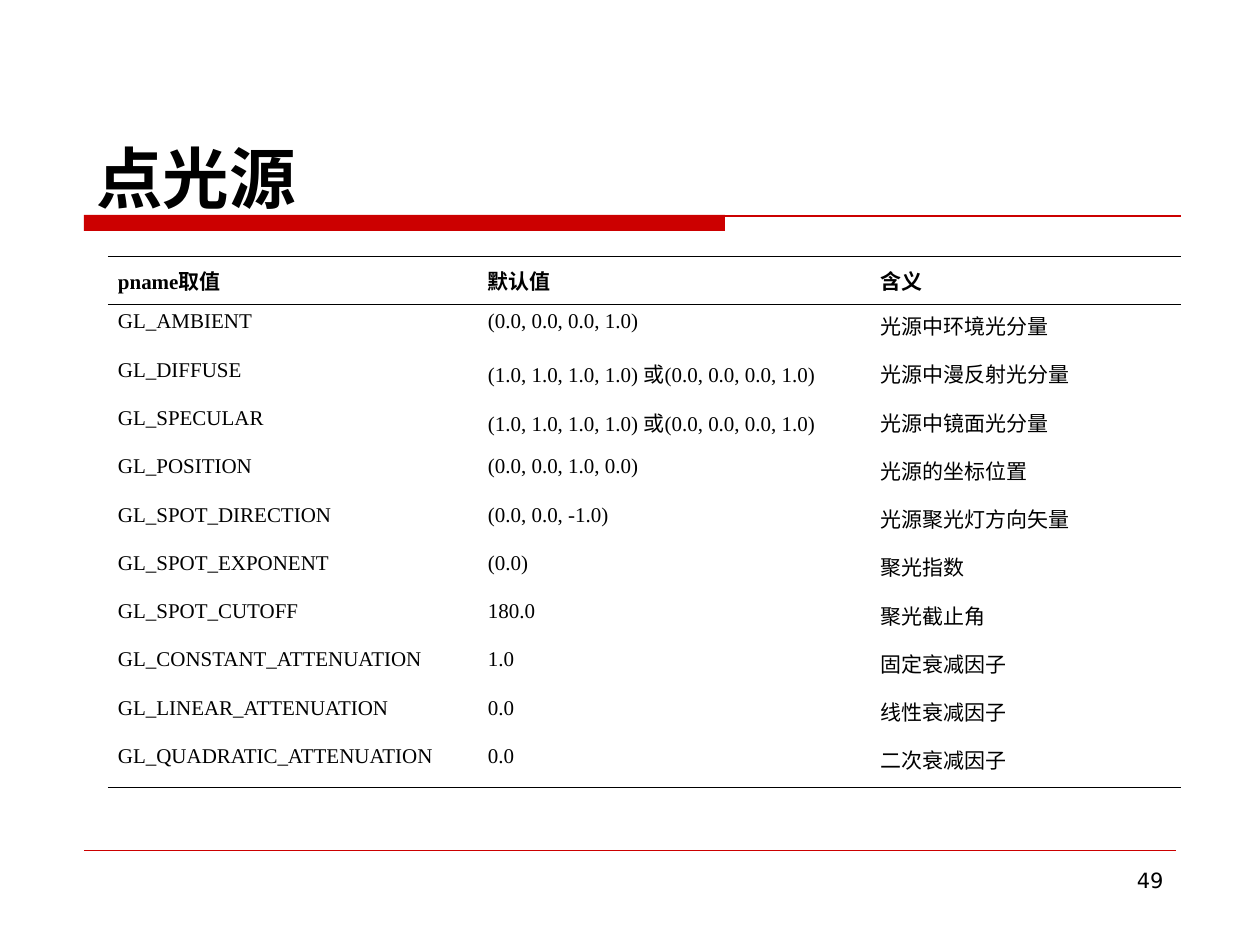
import lxml.etree
import pptx
import pptx.dml.color
import pptx.enum.shapes
import pptx.enum.text
import pptx.oxml
import pptx.oxml.ns
import pptx.util

PIXELS_PER_INCH = 126
BLACK = "000000"
RED = "CC0000"
ALIGN = pptx.enum.text.PP_ALIGN
ANCHOR = pptx.enum.text.MSO_ANCHOR

COLUMN_WIDTHS = [370, 393, 310]
ROWS = [
    ("pname取值", "默认值", "含义"),
    ("GL_AMBIENT", "(0.0, 0.0, 0.0, 1.0)", "光源中环境光分量"),
    ("GL_DIFFUSE", "(1.0, 1.0, 1.0, 1.0) 或(0.0, 0.0, 0.0, 1.0)", "光源中漫反射光分量"),
    ("GL_SPECULAR", "(1.0, 1.0, 1.0, 1.0) 或(0.0, 0.0, 0.0, 1.0)", "光源中镜面光分量"),
    ("GL_POSITION", "(0.0, 0.0, 1.0, 0.0)", "光源的坐标位置"),
    ("GL_SPOT_DIRECTION", "(0.0, 0.0, -1.0)", "光源聚光灯方向矢量"),
    ("GL_SPOT_EXPONENT", "(0.0)", "聚光指数"),
    ("GL_SPOT_CUTOFF", "180.0", "聚光截止角"),
    ("GL_CONSTANT_ATTENUATION", "1.0", "固定衰减因子"),
    ("GL_LINEAR_ATTENUATION", "0.0", "线性衰减因子"),
    ("GL_QUADRATIC_ATTENUATION", "0.0", "二次衰减因子"),
]


def px(length):
    return pptx.util.Emu(round(length * 914400 / PIXELS_PER_INCH))


def color(value):
    return pptx.dml.color.RGBColor.from_string(value)


def style_paragraph(paragraph, size, font_name, alignment, bold=False):
    paragraph.alignment = alignment
    paragraph.font.size = pptx.util.Pt(size)
    paragraph.font.name = font_name
    paragraph.font.bold = bold
    paragraph.font.color.rgb = color(BLACK)


def add_text(slide, text, left, top, width, height, size, alignment, anchor, bold=False):
    shape = slide.shapes.add_textbox(px(left), px(top), px(width), px(height))
    frame = shape.text_frame
    frame.word_wrap = True
    frame.vertical_anchor = anchor
    frame.text = text
    style_paragraph(frame.paragraphs[0], size, "DejaVu Sans", alignment, bold)


def add_bar(slide, left, top, width, height):
    shape = slide.shapes.add_shape(
        pptx.enum.shapes.MSO_SHAPE.RECTANGLE, px(left), px(top), px(width), px(height))
    shape.shadow.inherit = False
    shape.fill.solid()
    shape.fill.fore_color.rgb = color(RED)
    shape.line.fill.background()


def add_rule(slide, left, right, y, weight):
    connector = slide.shapes.add_connector(
        pptx.enum.shapes.MSO_CONNECTOR.STRAIGHT, px(left), px(y), px(right), px(y))
    connector.line.color.rgb = color(RED)
    connector.line.width = pptx.util.Pt(weight)
    properties = connector._element.spPr
    lxml.etree.SubElement(properties, pptx.oxml.ns.qn("a:effectLst"))


def set_borders(cell, visible_sides):
    properties = cell._tc.get_or_add_tcPr()
    for side in "LRTB":
        if side in visible_sides:
            fill = f'<a:solidFill><a:srgbClr val="{BLACK}"/></a:solidFill>'
        else:
            fill = "<a:noFill/>"
        properties.append(pptx.oxml.parse_xml(
            f'<a:ln{side} {pptx.oxml.ns.nsdecls("a")} w="{pptx.util.Pt(0.45)}">'
            f"{fill}</a:ln{side}>"))


def add_parameter_table(slide, left, top, height):
    table = slide.shapes.add_table(
        len(ROWS), len(COLUMN_WIDTHS), px(left), px(top),
        px(sum(COLUMN_WIDTHS)), px(height)).table
    table.first_row = False
    table.horz_banding = False
    for column, width in zip(table.columns, COLUMN_WIDTHS):
        column.width = px(width)
    visible_sides = {0: "TB", 1: "T", len(ROWS) - 1: "B"}
    for row_index, values in enumerate(ROWS):
        is_header = row_index == 0
        for column_index, value in enumerate(values):
            cell = table.cell(row_index, column_index)
            cell.text = value
            cell.margin_left = cell.margin_right = px(10)
            cell.margin_top = cell.margin_bottom = px(6)
            cell.vertical_anchor = ANCHOR.MIDDLE if is_header else ANCHOR.TOP
            style_paragraph(cell.text_frame.paragraphs[0], 12, "Times New Roman",
                            ALIGN.JUSTIFY, is_header)
            set_borders(cell, visible_sides.get(row_index, ""))
            cell.fill.background()


def main():
    presentation = pptx.Presentation()
    presentation.slide_width = px(1260)
    presentation.slide_height = px(945)
    slide = presentation.slides.add_slide(presentation.slide_layouts[6])
    add_bar(slide, 84, 215, 641, 16)
    add_rule(slide, 84, 1181, 216, 0.75)
    add_rule(slide, 84, 1176, 850, 0.25)
    add_text(slide, "49", 903, 861, 273, 66, 12, ALIGN.RIGHT, ANCHOR.TOP)
    add_text(slide, "点光源", 84, 55, 1103, 168, 38, ALIGN.LEFT, ANCHOR.BOTTOM, True)
    add_parameter_table(slide, 108, 256, 531)
    presentation.save("out.pptx")


if __name__ == "__main__":
    main()
